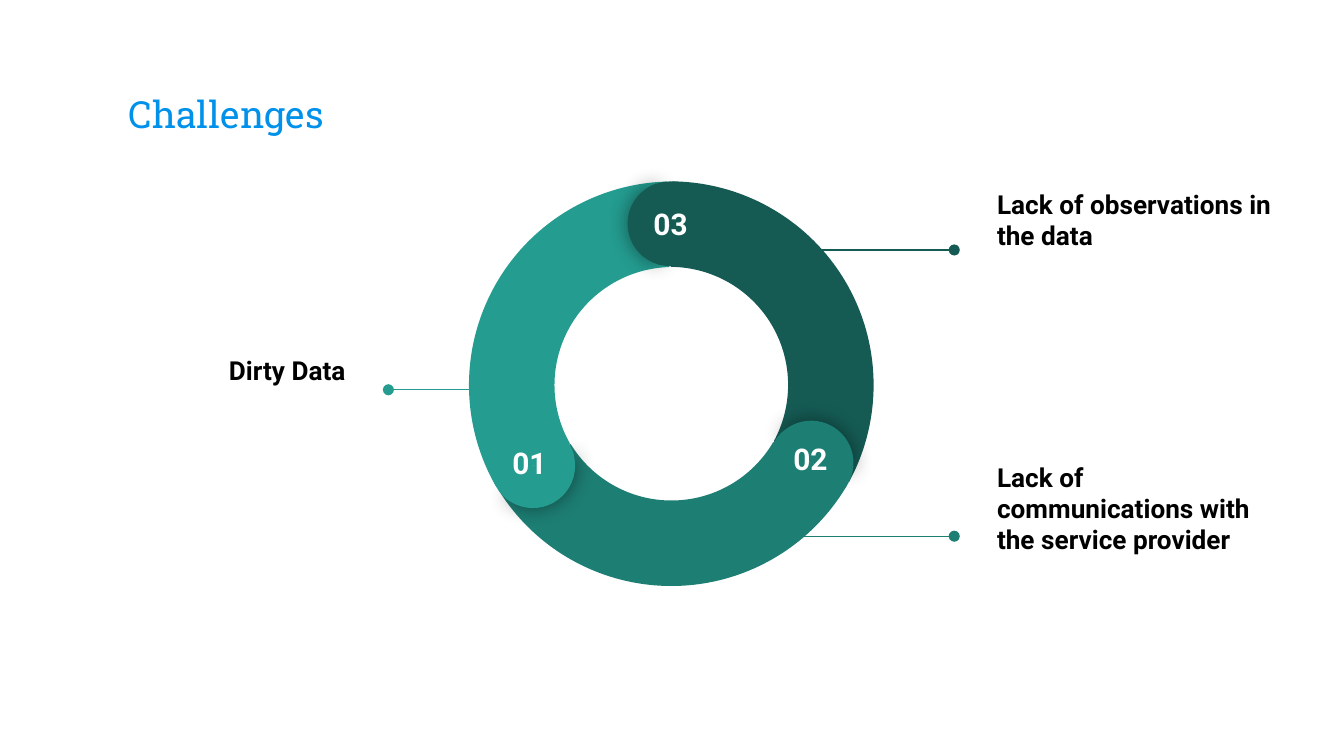
import lxml.etree
import pptx
import pptx.dml.color
import pptx.enum.shapes
import pptx.enum.text
import pptx.oxml.ns
import pptx.util

Inches = pptx.util.Inches
RGBColor = pptx.dml.color.RGBColor
SHAPE = pptx.enum.shapes.MSO_SHAPE
ALIGN = pptx.enum.text.PP_ALIGN
ANCHOR = pptx.enum.text.MSO_ANCHOR

LIGHT_TEAL = RGBColor(0x24, 0x9C, 0x90)
MID_TEAL = RGBColor(0x1D, 0x7E, 0x74)
DARK_TEAL = RGBColor(0x15, 0x5B, 0x54)
BLUE = RGBColor(0x00, 0x91, 0xEA)
BLACK = RGBColor(0x00, 0x00, 0x00)
WHITE = RGBColor(0xFF, 0xFF, 0xFF)

SLIDE_WIDTH = 10
RING_SIZE = 3.03
CAP_SIZE = 0.63
ARC_ADJUSTMENTS = (126.23, 197.1, 0.21)
CAP_BACK = (61.9, 149.96)
CAP_FRONT = (40.28, 171.84)


def add_text(page, text, left, top, width, height, *, size, color,
             font="Roboto", bold=True, align=ALIGN.LEFT, anchor=ANCHOR.MIDDLE, bottom=0.1):
    box = page.shapes.add_textbox(Inches(left), Inches(top), Inches(width), Inches(height))
    frame = box.text_frame
    frame.word_wrap = True
    frame.vertical_anchor = anchor
    frame.margin_left = frame.margin_right = frame.margin_top = Inches(0.1)
    frame.margin_bottom = Inches(bottom)
    para = frame.paragraphs[0]
    para.alignment = align
    span = para.add_run()
    span.text = text
    span.font.name = font
    span.font.size = pptx.util.Pt(size)
    span.font.bold = bold
    span.font.color.rgb = color


def add_child(parent, tag, **attributes):
    return lxml.etree.SubElement(parent, pptx.oxml.ns.qn(tag), attributes)


def add_pointer(page, start, end, y, color):
    pointer = page.shapes.add_connector(
        pptx.enum.shapes.MSO_CONNECTOR.STRAIGHT, Inches(start), Inches(y), Inches(end), Inches(y))
    pointer.line.color.rgb = color
    pointer.line.width = pptx.util.Pt(0.75)
    add_child(pointer.line._get_or_add_ln(), "a:tailEnd", type="oval")
    add_child(pointer._element.spPr, "a:effectLst")


def add_ring_part(page, kind, left, top, size, rotation, adjustments, color):
    part = page.shapes.add_shape(kind, Inches(left), Inches(top), Inches(size), Inches(size))
    part.rotation = rotation
    for index, value in enumerate(adjustments):
        part.adjustments[index] = value
    part.fill.solid()
    part.fill.fore_color.rgb = color
    part.line.fill.background()
    part.shadow.inherit = False
    return part


def add_soft_shadow(part):
    effects = part._element.spPr.find(pptx.oxml.ns.qn("a:effectLst"))
    shadow = add_child(effects, "a:outerShdw", blurRad=str(pptx.util.Pt(11.2)),
                       dist="0", dir="0", algn="ctr", rotWithShape="0")
    tint = add_child(shadow, "a:srgbClr", val=str(BLACK))
    add_child(tint, "a:alpha", val="43000")


def add_cap(page, left, top, turn, color):
    back = add_ring_part(page, SHAPE.PIE, left, top, CAP_SIZE, turn + 0.7, CAP_BACK, color)
    add_soft_shadow(back)
    add_ring_part(page, SHAPE.PIE, left, top, CAP_SIZE, (turn + 180) % 360, CAP_FRONT, color)


def main():
    deck = pptx.Presentation()
    deck.slide_width = Inches(SLIDE_WIDTH)
    deck.slide_height = Inches(SLIDE_WIDTH * 9 / 16)
    page = deck.slides.add_slide(deck.slide_layouts[6])

    add_text(page, "Challenges", 0.86, 0.34, 8.28, 0.77, size=20, color=BLUE,
             font="Roboto Slab", bold=False, anchor=ANCHOR.BOTTOM)

    labels = [
        ("Dirty Data", 0.35, 2.17, ALIGN.RIGHT, 0.35),
        ("Lack of observations in the data", 7.32, 1.16, ALIGN.LEFT, 0.56),
        ("Lack of communications with the service provider", 7.32, 3.3, ALIGN.LEFT, 0.55),
    ]
    for text, left, top, align, bottom in labels:
        add_text(page, text, left, top, 2.32, 1.41, size=14, color=BLACK,
                 align=align, bottom=bottom)

    add_pointer(page, 3.58, 2.89, 2.9, LIGHT_TEAL)
    add_pointer(page, 5.7, 7.1, 1.86, DARK_TEAL)
    add_pointer(page, 5.7, 7.1, 3.99, MID_TEAL)

    arcs = [(3.47, 1.35, 60, DARK_TEAL), (3.48, 1.33, 180, MID_TEAL), (3.49, 1.35, 300, LIGHT_TEAL)]
    for left, top, rotation, color in arcs:
        add_ring_part(page, SHAPE.BLOCK_ARC, left, top, RING_SIZE, rotation, ARC_ADJUSTMENTS, color)

    caps = [(3.65, 3.15, 240, LIGHT_TEAL), (4.67, 1.35, 0, DARK_TEAL), (5.72, 3.13, 120, MID_TEAL)]
    for left, top, turn, color in caps:
        add_cap(page, left, top, turn, color)

    for number, left, top in [("03", 4.71, 1.43), ("01", 3.66, 3.21), ("02", 5.75, 3.18)]:
        add_text(page, number, left, top, 0.56, 0.29, size=16, color=WHITE,
                 align=ALIGN.CENTER, anchor=ANCHOR.TOP)

    deck.save("out.pptx")


if __name__ == "__main__":
    main()
